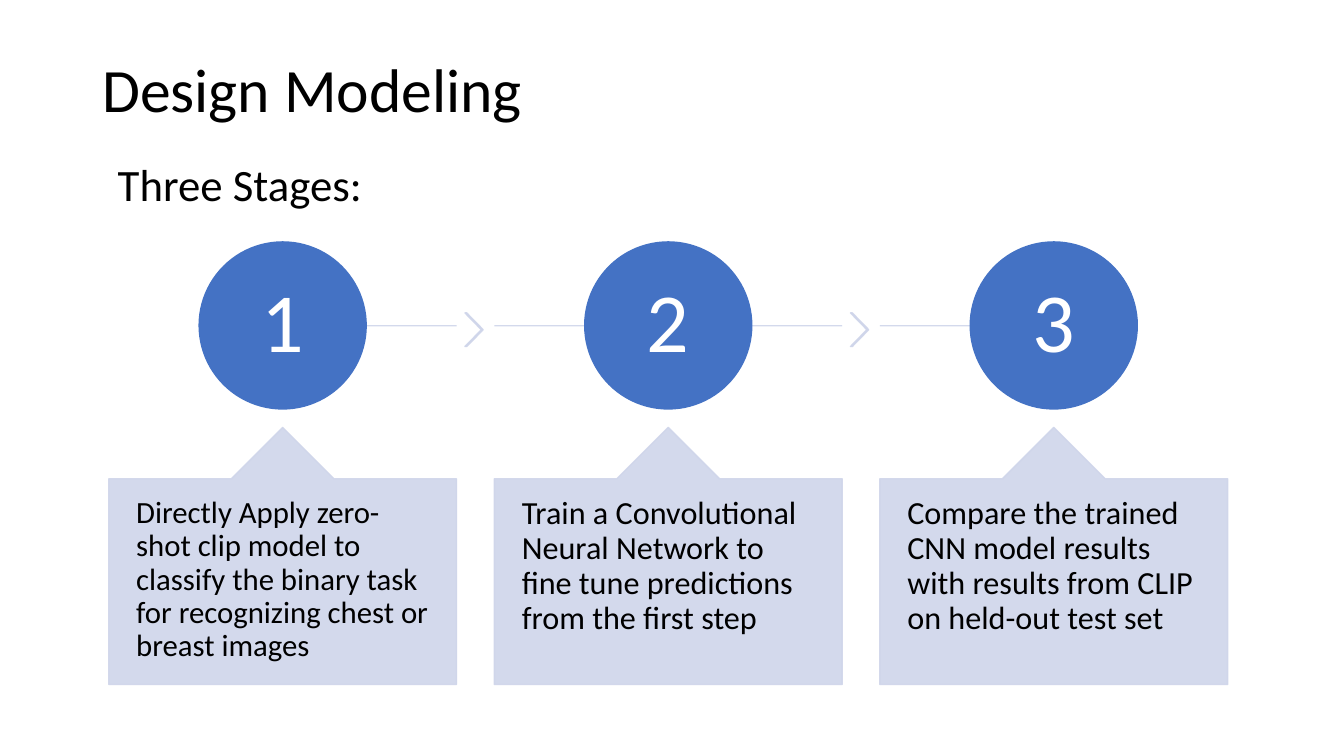
from lxml import etree
from pptx import Presentation
from pptx.dml.color import RGBColor
from pptx.enum import shapes, text
from pptx.oxml import ns
from pptx.util import Pt

COLORS = {"ink": "000000", "white": "FFFFFF", "circle": "4472C4", "pale": "CFD5EA"}

deck = Presentation()
deck.slide_width, deck.slide_height = Pt(960), Pt(540)
slide = deck.slides.add_slide(deck.slide_layouts[6])


def write(box, words, size, color="ink", spacing=0.9, margins=(7.2, 3.6),
          align=text.PP_ALIGN.LEFT, anchor=text.MSO_ANCHOR.TOP):
    frame = box.text_frame
    frame.word_wrap = True
    frame.vertical_anchor = anchor
    frame.margin_left = frame.margin_right = Pt(margins[0])
    frame.margin_top = frame.margin_bottom = Pt(margins[1])
    paragraph = frame.paragraphs[0]
    paragraph.alignment = align
    paragraph.line_spacing = spacing
    run = paragraph.add_run()
    run.text = words
    run.font.name = "Calibri"
    run.font.size = Pt(size)
    run.font.color.rgb = RGBColor.from_string(COLORS[color])


def paint(part, color, opacity=100, filled=True):
    part.line.width = Pt(1)
    formats = [part.line.fill]
    if filled:
        part.shadow.inherit = False
        formats.append(part.fill)
    else:
        etree.SubElement(part._element.spPr, ns.qn("a:effectLst"))
    for fill in formats:
        fill.solid()
        fill.fore_color.rgb = RGBColor.from_string(COLORS[color])
    if opacity < 100:
        for swatch in part._element.spPr.iter(ns.qn("a:srgbClr")):
            etree.SubElement(swatch, ns.qn("a:alpha"), val=str(opacity * 1000))


# Headings
title = slide.shapes.add_textbox(Pt(66), Pt(13.7), Pt(828), Pt(104.4))
write(title, "Design Modeling", 44, anchor=text.MSO_ANCHOR.MIDDLE)
subtitle = slide.shapes.add_textbox(Pt(77), Pt(108.7), Pt(257.8), Pt(46))
write(subtitle, "Three Stages:", 32, spacing=1.0)

# Stages: description, text size
stages = [
    ("Directly Apply zero-shot clip model to classify the binary task "
     "for recognizing chest or breast images", 22),
    ("Train a Convolutional Neural Network to fine tune predictions "
     "from the first step", 23),
    ("Compare the trained CNN model results with results from CLIP "
     "on held-out test set", 23),
]
first_left, pitch, width = 77.7, 275.4, 248.4
circle_size, circle_top, track_y = 119.3, 172.8, 232.7

for index, (description, size) in enumerate(stages):
    left = first_left + index * pitch
    center = left + width / 2
    is_last = index == len(stages) - 1

    # Track behind the circle
    track_start = center if index == 0 else left
    track_end = center if is_last else left + width
    track = slide.shapes.add_connector(
        shapes.MSO_CONNECTOR.STRAIGHT,
        Pt(track_start), Pt(track_y), Pt(track_end), Pt(track_y))
    paint(track, "pale", 90, filled=False)

    # Chevron to the next stage
    if not is_last:
        chevron = slide.shapes.add_shape(
            shapes.MSO_SHAPE.CHEVRON,
            Pt(left + width + 6), Pt(223.5), Pt(13), Pt(24))
        chevron.adjustments[0] = 0.9
        paint(chevron, "pale", 90)

    # Numbered circle
    circle = slide.shapes.add_shape(
        shapes.MSO_SHAPE.OVAL, Pt(center - circle_size / 2), Pt(circle_top),
        Pt(circle_size), Pt(circle_size))
    paint(circle, "circle")
    write(circle, str(index + 1), 60, "white", margins=(4.6, 4.6),
          align=text.PP_ALIGN.CENTER, anchor=text.MSO_ANCHOR.MIDDLE)

    # Description callout
    callout = slide.shapes.add_shape(
        shapes.MSO_SHAPE.UP_ARROW_CALLOUT, Pt(left), Pt(305.3), Pt(width), Pt(183.6))
    for position, value in enumerate((0.5, 0.2, 0.2, 1.0)):
        callout.adjustments[position] = value
    paint(callout, "pale", 90)
    write(callout, description, size, margins=(19.6, 13))

deck.save("out.pptx")
